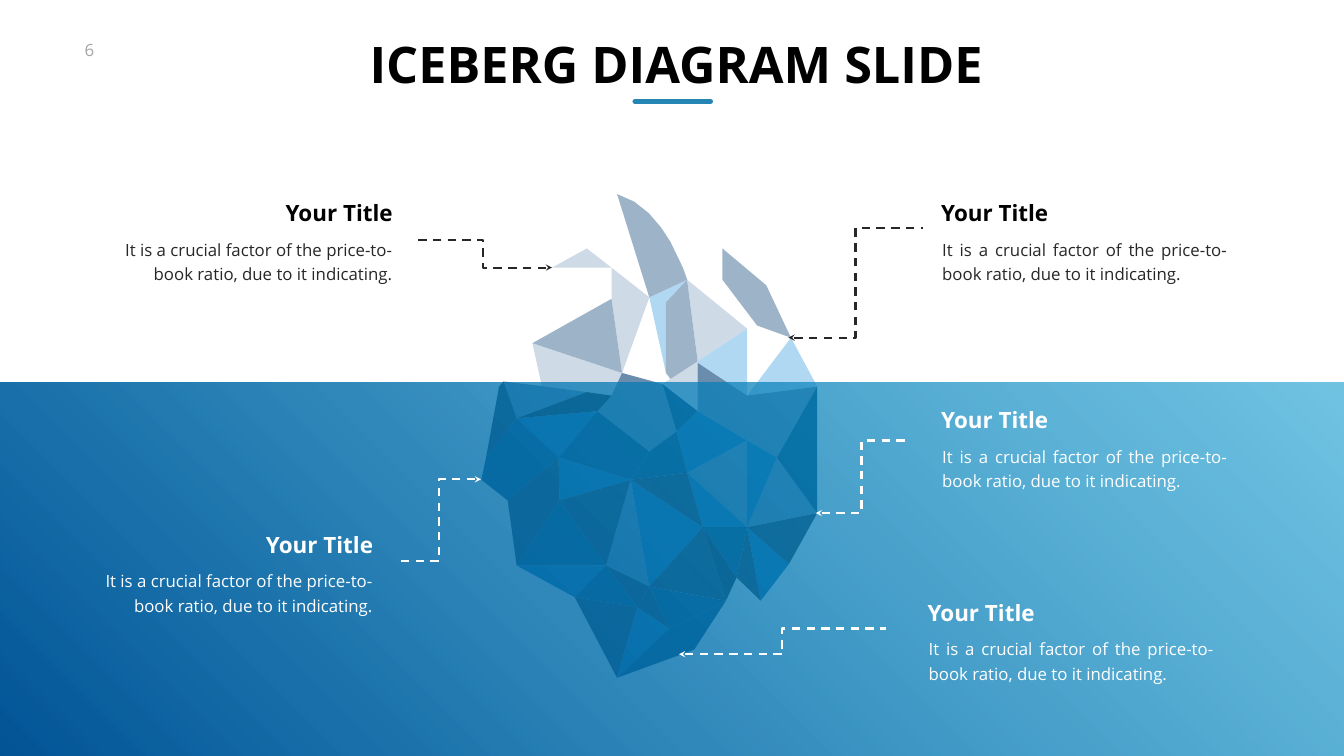
from pptx import Presentation
from pptx.dml.color import RGBColor as Rgb
from pptx.enum.dml import MSO_LINE as Dash
from pptx.enum.shapes import MSO_CONNECTOR as Link, MSO_SHAPE as Kind
from pptx.enum.text import MSO_ANCHOR as Anchor, PP_ALIGN as Align
from pptx.oxml.ns import qn
from pptx.util import Inches, Pt
from lxml.etree import SubElement

HUES = {
    "black": "000000", "ink": "272727", "white": "FFFFFF", "grey": "A6A6A6",
    "rule": "2585B3", "sea": "005496", "surf": "0D99CE",
    "deep": "114E75", "slate": "6A8CAD", "dark": "2B3E50", "night": "1F2F3C",
    "blue": "1973AE", "sky": "B0D8F3", "steel": "9DB3C8", "mist": "CFDAE7",
}

NODES = {
    "a": (1621, 767), "b": (1621, 1018), "c": (1541, 908), "d": (1482, 874),
    "e": (1384, 816), "f": (1384, 720), "g": (1482, 785), "h": (1482, 1046),
    "i": (1565, 1119), "j": (1569, 670), "k": (1502, 646), "l": (1433, 555),
    "m": (1433, 493), "n": (1509, 1192), "o": (1461, 1146), "p": (1482, 652),
    "q": (1363, 555), "r": (1384, 717), "s": (1363, 938), "t": (1394, 1046),
    "u": (1342, 856), "v": (1440, 1192), "w": (1288, 1164), "x": (1377, 1289),
    "y": (1224, 1345), "z": (1328, 1247), "A": (1251, 952), "B": (1314, 762),
    "C": (1330, 752), "D": (1321, 740), "E": (1321, 600), "F": (1288, 590),
    "G": (1288, 896), "H": (1224, 385), "I": (1185, 816), "J": (1213, 785),
    "K": (1234, 740), "L": (1264, 1205), "M": (1213, 593), "N": (1213, 531),
    "O": (1108, 908), "P": (1202, 1122), "Q": (1140, 1185), "R": (1110, 993),
    "S": (1056, 681), "T": (1164, 778), "U": (1074, 766), "V": (1074, 762),
    "W": (1164, 493), "X": (1095, 531), "Y": (1025, 830), "Z": (1025, 1122),
    "0": (999, 757), "1": (1007, 993), "2": (955, 952), "3": (964, 908),
    "4": (990, 767), "5": (1520, 566), "6": (1258, 400), "7": (1287, 423),
    "8": (1311, 451), "9": (1330, 480), "+": (1355, 532),
}

FACETS = {
    "white": "lkjgpqm DCBKF HFNW NMSX SVU0",
    "mist": "prq feBCr FKMN KJTUVS NXW",
    "sky": "jag pgfr qEDF",
    "steel": "jklm5 qrCDE qFH6789+ MKS",
    "slate": "acdefg cbh dhs BuGIJK AwP TY0U",
    "blue": "inh chd dsue hts twA zyL ARO PQZ IOY",
    "deep": "abc hot vxyz vzw euB usAG GAOI PLQ RPZ O123Y",
    "dark": "bih hno tvw stA wzL wLP LyQ APR ORZ1 0Y34",
    "night": "tov JIYT",
}

BODY = "It is a crucial factor of the price-to-book ratio, due to it indicating."
NOTES = [
    (18.45, 3.9, Align.LEFT, "black", "ink"),
    (18.45, 8.01, Align.LEFT, "white", "white"),
    (18.18, 11.83, Align.LEFT, "white", "white"),
    (1.89, 3.9, Align.RIGHT, "black", "ink"),
    (1.5, 10.48, Align.RIGHT, "white", "white"),
]
LINKS = [
    (15.64, 6.7, 18.3, 4.53, "ink"),
    (10.95, 5.31, 8.22, 4.76, "ink"),
    (9.54, 9.51, 7.89, 11.13, "white"),
    (13.47, 12.98, 17.57, 12.47, "white"),
    (16.18, 10.18, 18, 8.74, "white"),
]


def hue(name):
    """Return the named colour."""
    return Rgb.from_string(HUES[name])


def apply(obj, form):
    """Set each value of a format dict on an object."""
    for key, val in form.items():
        setattr(obj, key, val)


def write(slide, box, text, font, tint, para=None, frame=None):
    """Add one paragraph of text in a box."""
    area = slide.shapes.add_textbox(*map(Inches, box)).text_frame
    apply(area, {"word_wrap": False, **(frame or {})})
    line = area.paragraphs[0]
    apply(line, para or {})
    run = line.add_run()
    run.text = text
    apply(run.font, {"name": "Open Sans", **font})
    run.font.color.rgb = hue(tint)


def join(slide, kind, ends, tint, width):
    """Add a line without shadow and return it."""
    link = slide.shapes.add_connector(kind, *map(Inches, ends))
    link.line.color.rgb = hue(tint)
    link.line.width = Pt(width)
    SubElement(link._element.spPr, qn("a:effectLst"))
    return link


def berg(slide, box):
    """Draw the facets of the iceberg from the corner of a box."""
    group = slide.shapes.add_group_shape()
    low = [min(axis) for axis in zip(*NODES.values())]
    left, top = (Inches(side - edge / 100) for side, edge in zip(box, low))
    for tint, names in FACETS.items():
        for name in names.split():
            first, *rest = [NODES[key] for key in name]
            path = group.shapes.build_freeform(*first, scale=Inches(0.01))
            path.add_line_segments(rest, close=True)
            facet = path.convert_to_shape(left, top)
            facet.shadow.inherit = False
            facet.fill.solid()
            facet.fill.fore_color.rgb = hue(tint)
            facet.line.fill.background()


def water(slide, box):
    """Lay a see-through sea over a box."""
    sea = slide.shapes.add_shape(Kind.RECTANGLE, *map(Inches, box))
    sea.shadow.inherit = False
    sea.line.fill.background()
    sea.fill.gradient()
    sea.fill.gradient_angle = 45
    for stop, tint, spot in zip(sea.fill.gradient_stops, ("sea", "surf"), (0, 1)):
        stop.color.rgb = hue(tint)
        stop.position = spot
    last = sea._element.spPr.findall(".//" + qn("a:srgbClr"))[-1]
    SubElement(last, qn("a:alpha"), val="59000")


def pointer(slide, ends, tint):
    """Draw a dashed elbow with its arrowhead at the start."""
    link = join(slide, Link.ELBOW, ends, tint, 3)
    link.line.dash_style = Dash.DASH
    SubElement(link.line._get_or_add_ln(), qn("a:headEnd"), type="stealth")


def note(slide, box, side, head, ink):
    """Place a title over its body text in a box."""
    left, top, width, high = box
    shift = 0.12 if side == Align.LEFT else width - 2.48
    write(slide, (left + shift, top, 2.35, 0.64), "Your Title",
          {"size": Pt(32), "bold": True}, head, {"alignment": side},
          {"vertical_anchor": Anchor.MIDDLE})
    flow = Align.JUSTIFY if side == Align.LEFT else side
    write(slide, (left, top + 0.64, width, high - 0.64), BODY,
          {"size": Pt(24)}, ink,
          {"alignment": flow, "line_spacing": Pt(35), "space_before": Pt(4.8)},
          {"word_wrap": True, "margin_left": Inches(0.24),
           "margin_right": Inches(0.24), "margin_top": Inches(0.12),
           "margin_bottom": Inches(0.12)})


def header(slide, box):
    """Place the slide title and the rule below it."""
    left, top, width, high = box
    write(slide, box, "ICEBERG DIAGRAM SLIDE",
          {"size": Pt(72), "bold": True}, "black", {"alignment": Align.CENTER},
          {"margin_left": Inches(0.1), "margin_right": 0,
           "margin_top": 0, "margin_bottom": 0})
    mid, low = left + width / 2 - 0.02, top + high + 0.15
    rule = join(slide, Link.STRAIGHT, (mid - 0.75, low, mid + 0.75, low), "rule", 7)
    rule.line._get_or_add_ln().set("cap", "rnd")


def main():
    """Build the slide and save it."""
    deck = Presentation()
    apply(deck, {"slide_width": Inches(26.66), "slide_height": Inches(15)})
    slide = deck.slides.add_slide(deck.slide_layouts[6])
    write(slide, (1.58, 0.74, 0.75, 0.5), "6", {"size": Pt(24)}, "grey")
    berg(slide, (9.55, 3.85))
    water(slide, (0, 7.58, 26.66, 7.42))
    for *ends, tint in LINKS:
        pointer(slide, ends, tint)
    for left, top, *form in NOTES:
        note(slide, (left, top, 6.13, 1.83), *form)
    header(slide, (7.17, 0.65, 12.39, 1.21))
    deck.save("out.pptx")


if __name__ == "__main__":
    main()
